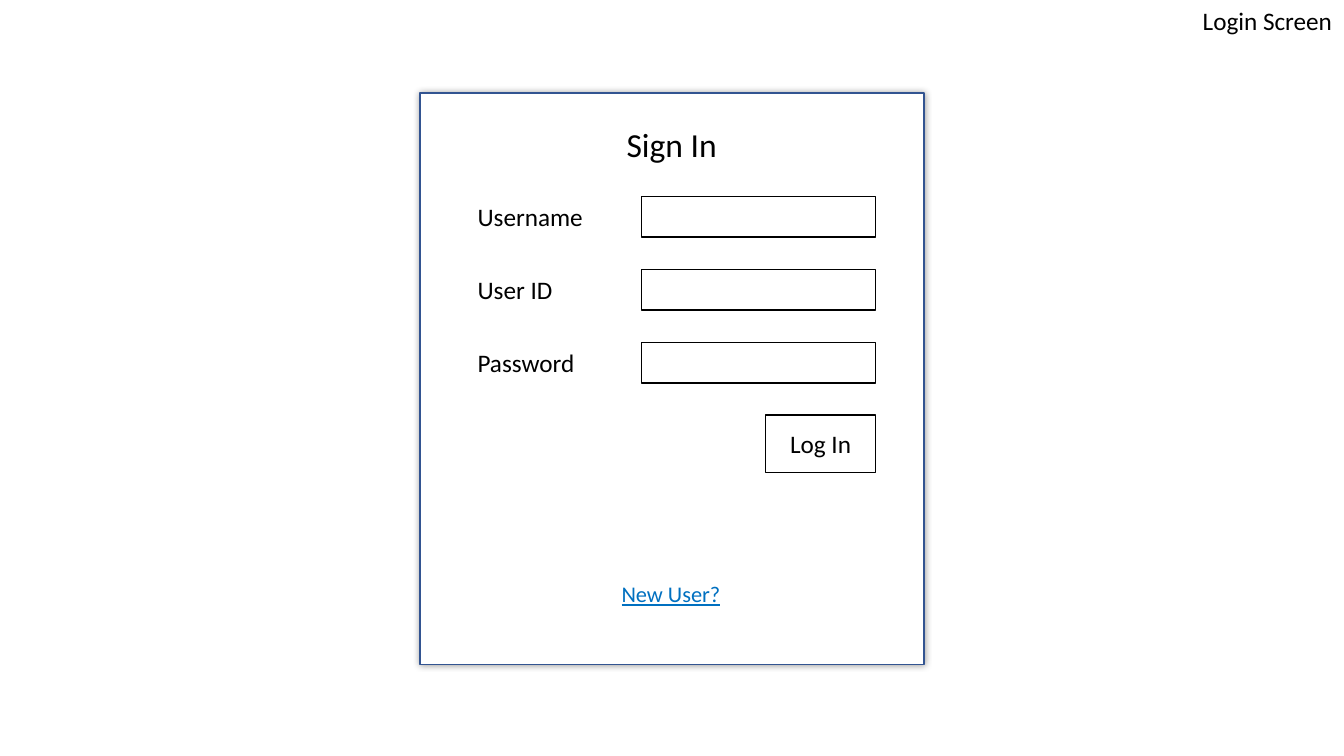
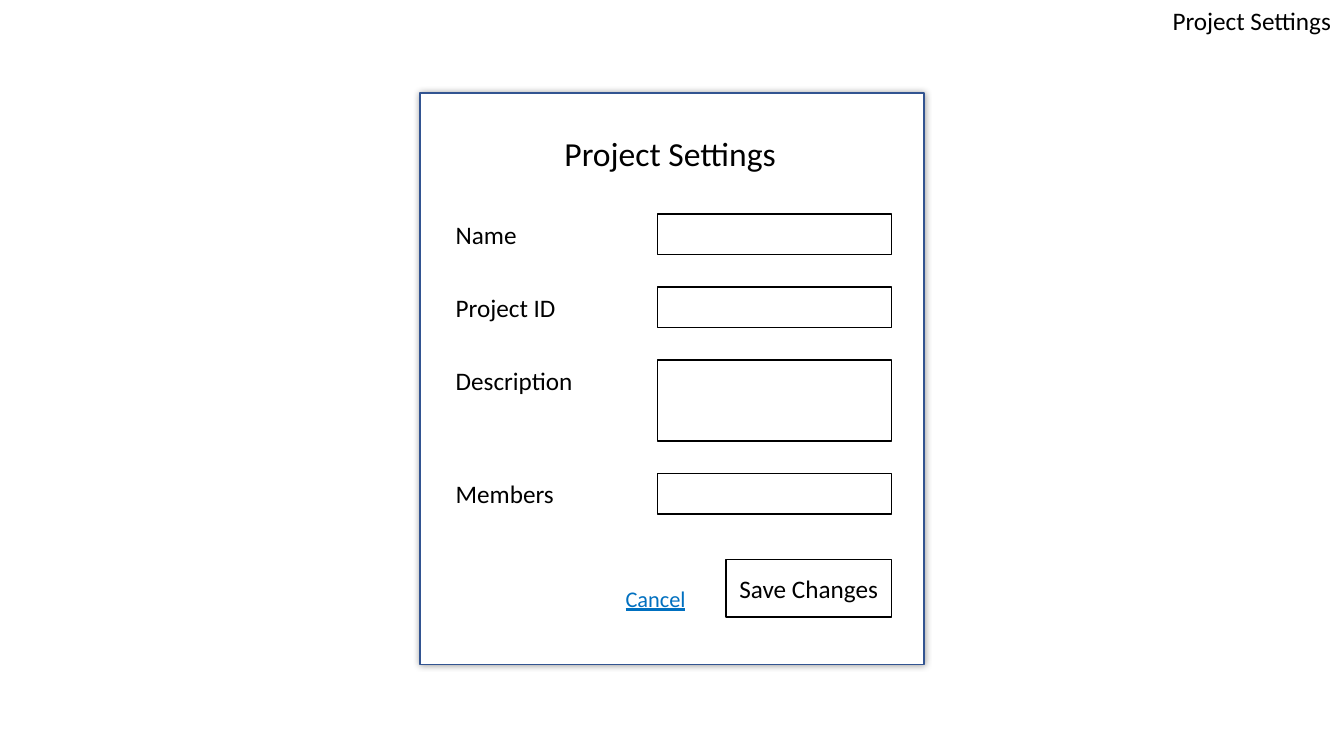
from collections import namedtuple
from dataclasses import dataclass

import lxml.etree
import pptx
import pptx.dml.color
import pptx.enum.shapes
import pptx.enum.text
import pptx.oxml
import pptx.oxml.ns
import pptx.util
from pptx.util import Cm

Box = namedtuple("Box", "left top width height")
Align = pptx.enum.text.PP_ALIGN
Anchor = pptx.enum.text.MSO_ANCHOR


@dataclass(frozen=True)
class Theme:
    font: str = "Calibri"
    ink: str = "000000"
    paper: str = "FFFFFF"
    link: str = "0070C0"
    panel_edge: str = "325491"
    shadow_opacity: int = 40
    shadow_blur: int = 5
    line: int = 1
    heading: int = 24
    body: int = 18
    small: int = 16
    heading_height: float = 1.28
    body_height: float = 1.02
    small_height: float = 0.94


THEME = Theme()
PAGE = Box(0, 0, 33.87, 19.05)
PANEL = Box((PAGE.width - 12.7) / 2, 2.34, 12.7, 14.4)
FIELD_WIDTH, FIELD_GAP, BUTTON_HEIGHT = 5.9, 0.82, 1.45


def rgb(value):
    return pptx.dml.color.RGBColor.from_string(value)


def write(frame, text, size=THEME.body, color=THEME.ink, underline=None, align=Align.LEFT):
    paragraph = frame.paragraphs[0]
    paragraph.alignment = align
    run = paragraph.add_run()
    run.text = text
    run.font.name = THEME.font
    run.font.size = pptx.util.Pt(size)
    run.font.color.rgb = rgb(color)
    run.font.underline = underline


def add_text(slide, box, text, **style):
    frame = slide.shapes.add_textbox(*map(Cm, box)).text_frame
    frame.word_wrap = False
    frame.auto_size = pptx.enum.text.MSO_AUTO_SIZE.SHAPE_TO_FIT_TEXT
    write(frame, text, **style)


def add_rectangle(slide, box, edge=THEME.ink):
    rectangle = slide.shapes.add_shape(
        pptx.enum.shapes.MSO_SHAPE.RECTANGLE, *map(Cm, box))
    rectangle.shadow.inherit = False
    rectangle.fill.solid()
    rectangle.fill.fore_color.rgb = rgb(THEME.paper)
    rectangle.line.color.rgb = rgb(edge)
    rectangle.line.width = pptx.util.Pt(THEME.line)
    return rectangle


def add_panel(slide, box):
    panel = add_rectangle(slide, box, THEME.panel_edge)
    effects = panel.element.spPr.find(pptx.oxml.ns.qn("a:effectLst"))
    effects.append(pptx.oxml.parse_xml(
        f'<a:outerShdw {pptx.oxml.ns.nsdecls("a")} '
        f'blurRad="{pptx.util.Pt(THEME.shadow_blur)}" dist="0" dir="0" '
        f'algn="ctr" rotWithShape="0"><a:srgbClr val="{THEME.ink}">'
        f'<a:alpha val="{THEME.shadow_opacity * 1000}"/>'
        '</a:srgbClr></a:outerShdw>'))


def add_page_title(slide, page, text, width):
    add_text(slide, Box(page.width - width, page.top, width, THEME.body_height), text)


def add_heading(slide, panel, text, top, width):
    left = panel.left + (panel.width - width) / 2
    add_text(slide, Box(left, panel.top + top, width, THEME.heading_height), text,
             size=THEME.heading)


def add_fields(slide, panel, fields, top, label_left, field_left):
    y = panel.top + top
    for label, label_width, lines in fields:
        height = THEME.body_height * lines
        add_text(slide, Box(panel.left + label_left, y, label_width, THEME.body_height), label)
        add_rectangle(slide, Box(panel.left + field_left, y, FIELD_WIDTH, height))
        y += height + FIELD_GAP


def add_button(slide, panel, text, right, top, width):
    button = add_rectangle(
        slide, Box(panel.left + right - width, panel.top + top, width, BUTTON_HEIGHT))
    button.text_frame.vertical_anchor = Anchor.MIDDLE
    write(button.text_frame, text, align=Align.CENTER)


def add_link(slide, panel, text, left, top, width):
    add_text(slide, Box(panel.left + left, panel.top + top, width, THEME.small_height), text,
             size=THEME.small, color=THEME.link, underline=True)


def add_form(deck, title, heading, fields, field_grid, button, link):
    slide = deck.slides.add_slide(deck.slide_layouts[6])
    add_page_title(slide, PAGE, *title)
    add_panel(slide, PANEL)
    add_heading(slide, PANEL, **heading)
    add_fields(slide, PANEL, fields, **field_grid)
    add_button(slide, PANEL, right=field_grid["field_left"] + FIELD_WIDTH, **button)
    add_link(slide, PANEL, **link)


deck = pptx.Presentation()
deck.slide_width, deck.slide_height = Cm(PAGE.width), Cm(PAGE.height)

add_form(
    deck,
    title=("Login Screen", 3.81),
    heading=dict(text="Sign In", top=0.66, width=2.79),
    fields=[("Username", 3.2, 1), ("User ID", 2.41, 1), ("Password", 2.97, 1)],
    field_grid=dict(top=2.61, label_left=1.2, field_left=5.58),
    button=dict(text="Log In", top=8.12, width=2.77),
    link=dict(text="New User?", left=4.83, top=12.16, width=3.05),
)
add_form(
    deck,
    title=("Project Settings", 4.57),
    heading=dict(text="Project Settings", top=0.89, width=5.92),
    fields=[("Name", 2.06, 1), ("Project ID", 3.05, 1),
            ("Description", 3.51, 2), ("Members", 3.02, 1)],
    field_grid=dict(top=3.05, label_left=0.65, field_left=5.98),
    button=dict(text="Save Changes", top=11.76, width=4.17),
    link=dict(text="Cancel", left=4.93, top=12.27, width=2.03),
)

deck.save("out.pptx")
